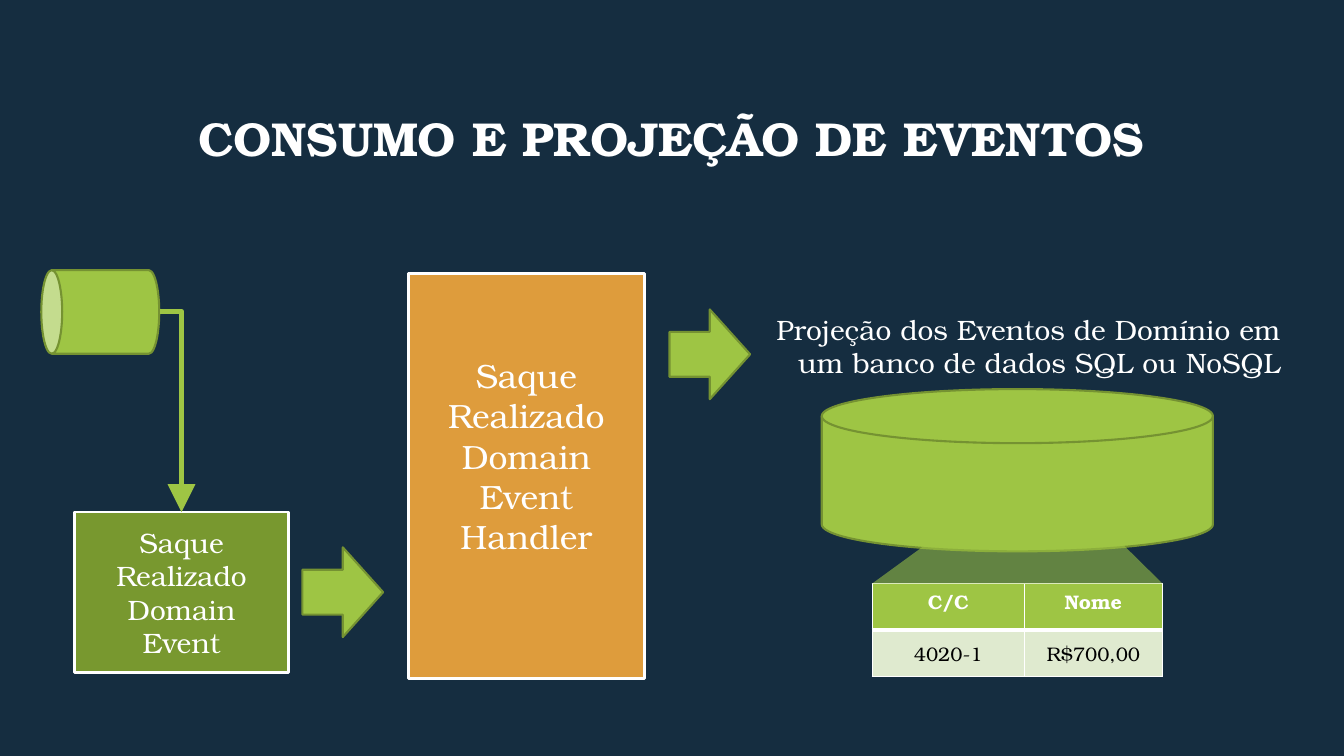
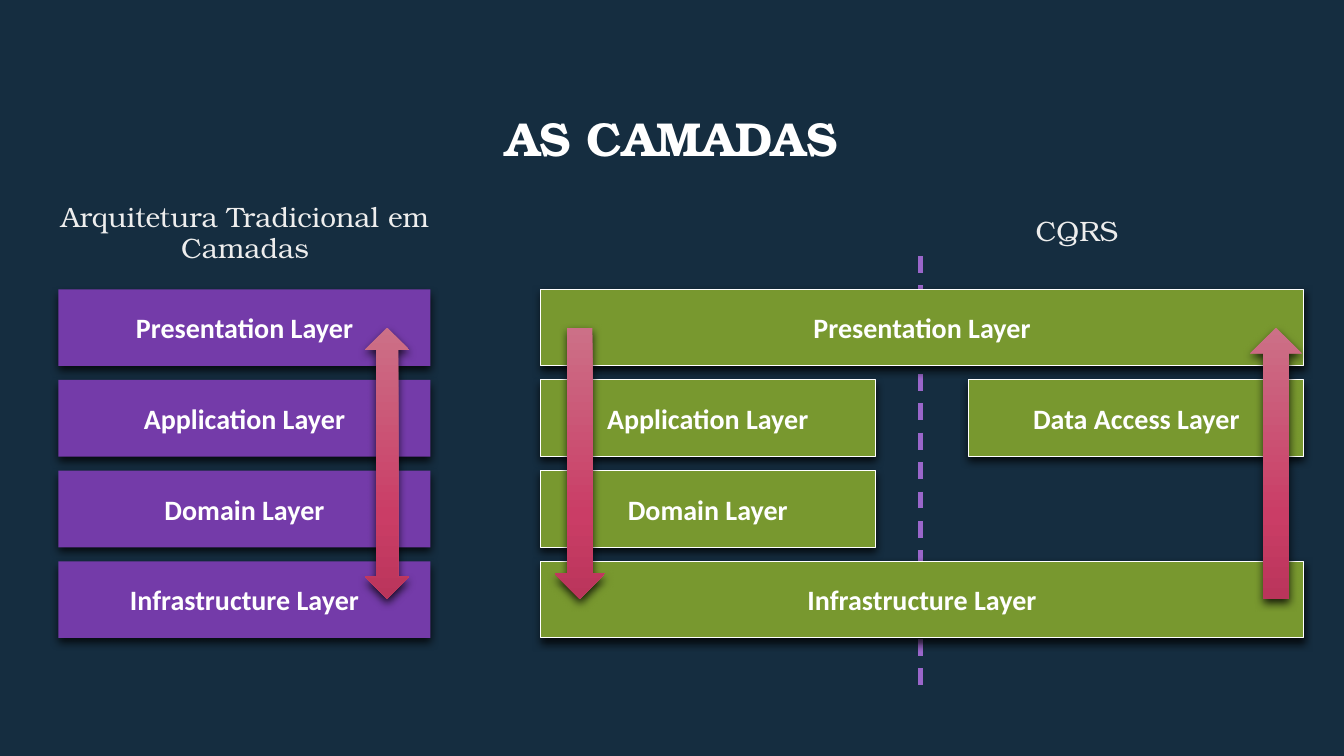
from lxml.etree import SubElement as Sub
from pptx import Presentation
from pptx.dml.color import RGBColor
from pptx.enum.dml import MSO_LINE
from pptx.enum.shapes import MSO_CONNECTOR as Link, MSO_SHAPE as Kind
from pptx.enum.text import MSO_ANCHOR as Anchor, MSO_AUTO_SIZE as Fit, PP_ALIGN as Align
from pptx.oxml.ns import qn
from pptx.util import Inches, Pt

NAVY = RGBColor(0x15, 0x2D, 0x40)
WHITE = RGBColor(0xFF, 0xFF, 0xFF)
BLACK = RGBColor(0x00, 0x00, 0x00)
PALE = RGBColor(0xED, 0xED, 0xED)
LIME = RGBColor(0x9E, 0xC5, 0x44)
EDGE = RGBColor(0x75, 0x92, 0x32)
OLIVE = RGBColor(0x78, 0x98, 0x2F)
MINT = RGBColor(0xDF, 0xEA, 0xCF)
AMBER = RGBColor(0xDE, 0x9C, 0x3C)
GRAPE = RGBColor(0x74, 0x3B, 0xA9)
LILAC = RGBColor(0x9A, 0x66, 0xCA)
ROSE = RGBColor(0xCC, 0x70, 0x87)
CERISE = RGBColor(0xCA, 0x3D, 0x66)
WINE = RGBColor(0xBA, 0x35, 0x5B)

SERIF = "TeX Gyre Bonum"
SANS = "Calibri"
BAR = 0.76
STEP = 0.9


def place(x, y, w, h):
    """Turn a box in inches into lengths."""
    return Inches(x), Inches(y), Inches(w), Inches(h)


def write(frame, text, size=20, font=SERIF, color=WHITE, bold=False,
          align=Align.CENTER, anchor=Anchor.MIDDLE, space=None):
    """Fill a frame with one paragraph for each line of text."""
    frame.word_wrap = True
    frame.vertical_anchor = anchor
    for i, line in enumerate(text.split("\n")):
        para = frame.add_paragraph() if i else frame.paragraphs[0]
        para.text = line
        para.alignment = align
        if space:
            para.line_spacing = space
        for run in para.runs:
            run.font.size = Pt(size)
            run.font.name = font
            run.font.bold = bold
            run.font.color.rgb = color


def draw(slide, kind, box, fill=LIME, line=EDGE, width=1.5):
    """Add a flat preset shape."""
    shape = slide.shapes.add_shape(kind, *place(*box))
    shape.shadow.inherit = False
    shape.fill.solid()
    shape.fill.fore_color.rgb = fill
    if line is None:
        shape.line.fill.background()
    else:
        shape.line.color.rgb = line
        shape.line.width = Pt(width)
    return shape


def label(slide, box, text, **form):
    """Add a text box."""
    frame = slide.shapes.add_textbox(*place(*box)).text_frame
    write(frame, text, **form)


def join(slide, kind, start, end, color, width):
    """Add a connector without a shadow."""
    link = slide.shapes.add_connector(kind, *place(*start, *end))
    link.line.color.rgb = color
    link.line.width = Pt(width)
    Sub(link.element.spPr, qn("a:effectLst"))
    return link


def tint(node, color, alpha=None):
    """Put a colour, with its opacity in percent, into an XML node."""
    clr = Sub(node, qn("a:srgbClr"), val=str(color))
    if alpha is not None:
        Sub(clr, qn("a:alpha"), val=str(alpha * 1000))


def shade(shape):
    """Give a shape a soft shadow straight below."""
    effect = shape.element.spPr.find(qn("a:effectLst"))
    drop = Sub(effect, qn("a:outerShdw"), blurRad=str(Pt(6)), dist=str(Pt(3)),
               dir="5400000", rotWithShape="0")
    tint(drop, BLACK, 76)


def blend(shape):
    """Fill a shape with the rose gradient from top to bottom."""
    shape.fill.gradient()
    shape.fill.gradient_angle = 270
    stops = shape.element.spPr.find(".//" + qn("a:gsLst"))
    for stop in list(stops):
        stops.remove(stop)
    for pos, color in ((0, ROSE), (69, CERISE), (100, WINE)):
        tint(Sub(stops, qn("a:gs"), pos=str(pos * 1000)), color)


def rule(cell, **sides):
    """Draw white cell borders, given their widths in points."""
    props = cell._tc.get_or_add_tcPr()
    for i, (side, width) in enumerate(sides.items()):
        line = Sub(props, qn("a:ln" + side), w=str(Pt(width)))
        tint(Sub(line, qn("a:solidFill")), WHITE)
        props.insert(i, line)


def start(deck, title):
    """Add a slide with its title."""
    slide = deck.slides.add_slide(deck.slide_layouts[5])
    head = slide.shapes.title
    head.left, head.top, head.width, head.height = place(1, 0.67, 11.32, 1.45)
    write(head.text_frame, title, size=34, bold=True, space=0.9)
    head.text_frame.auto_size = Fit.NONE
    return slide


def feed(slide, x, y):
    """Draw the queue, its event and the handler that takes it."""
    event = draw(slide, Kind.RECTANGLE, (x + 0.16, y + 2.57, 2.12, 1.59), OLIVE, WHITE, 2)
    write(event.text_frame, "Saque Realizado\vDomain\nEvent")
    for dx, dy in ((2.42, 2.92), (6.06, 0.56)):
        draw(slide, Kind.RIGHT_ARROW, (x + dx, y + dy, 0.8, 0.89))
    queue = draw(slide, Kind.CAN, (x, y, 0.83, 1.17))
    queue.rotation = 270
    link = join(slide, Link.ELBOW, (x + 1.01, y + 0.58), (x + 1.22, y + 2.57), LIME, 4)
    props = link.element.spPr
    props.find(qn("a:prstGeom")).set("prst", "bentConnector2")
    Sub(props.find(qn("a:ln")), qn("a:tailEnd"), type="triangle", w="lg", len="lg")
    handler = draw(slide, Kind.RECTANGLE, (x + 3.47, y + 0.2, 2.34, 4.02), AMBER, WHITE, 2)
    handler.text_frame.margin_bottom = Inches(0.45)
    write(handler.text_frame, "Saque\vRealizado\nDomain\vEvent\nHandler", size=24)


def grid(slide, x, y):
    """Add the table of projected rows."""
    rows = (("C/C", "Nome"), ("4020-1", "R$700,00"))
    frame = slide.shapes.add_table(2, 2, *place(x, y, 2.88, 0.92))
    table = frame.table
    for col, width in zip(table.columns, (1.51, 1.37)):
        col.width = Inches(width)
    for r, row in enumerate(rows):
        top = r == 0
        for c, text in enumerate(row):
            cell = table.cell(r, c)
            cell.margin_left = cell.margin_right = Inches(0.07)
            cell.margin_top = cell.margin_bottom = Inches(0.03)
            cell.fill.solid()
            cell.fill.fore_color.rgb = LIME if top else MINT
            write(cell.text_frame, text, size=14, bold=top, color=WHITE if top else BLACK)
            cell.vertical_anchor = Anchor.TOP if top else Anchor.MIDDLE
            rule(cell, L=1, R=1, T=1 if top else 3, B=3 if top else 1)


def store(slide, x, y):
    """Draw the database, its caption and the table it opens into."""
    grid(slide, x + 0.5, y + 1.93)
    draw(slide, Kind.FLOWCHART_MAGNETIC_DISK, (x, y, 3.88, 1.61))
    dots = [(Inches(x + dx), Inches(y + dy))
            for dx, dy in ((1.49, 1.21), (2.64, 1.2), (3.38, 1.93), (0.5, 1.93))]
    path = slide.shapes.build_freeform(*dots[0], scale=1.0)
    path.add_line_segments(dots[1:], close=True)
    beam = path.convert_to_shape()
    beam.shadow.inherit = False
    beam.line.fill.background()
    beam.fill.solid()
    beam.fill.fore_color.rgb = LIME
    clr = beam.element.spPr.find(qn("a:solidFill")).find(qn("a:srgbClr"))
    Sub(clr, qn("a:alpha"), val="57000")
    label(slide, (x - 0.81, y - 0.81, 5.46, 0.77),
          "Projeção dos Eventos de Domínio em\vum banco de dados SQL ou NoSQL",
          align=Align.RIGHT, anchor=Anchor.TOP)


def layer(slide, x, y, w, text, fill, line=None):
    """Draw one layer bar."""
    bar = draw(slide, Kind.RECTANGLE, (x, y, w, BAR), fill, line, 0.75)
    shade(bar)
    write(bar.text_frame, text + " Layer", font=SANS, bold=True)


def arrow(slide, kind, x, y, w):
    """Draw a tall gradient arrow."""
    shape = draw(slide, kind, (x, y, w, 2.69), line=None)
    blend(shape)
    shade(shape)


def stack(slide, x, y):
    """Draw the traditional layers."""
    label(slide, (x - 0.19, y - 0.99, 4.08, 0.88),
          "Arquitetura Tradicional em Camadas", color=PALE, space=0.9)
    names = ("Presentation", "Application", "Domain", "Infrastructure")
    for i, name in enumerate(names):
        layer(slide, x, y + i * STEP, 3.69, name, GRAPE)
    arrow(slide, Kind.UP_DOWN_ARROW, x + 3.04, y + 0.38, 0.44)


def split(slide, x, y):
    """Draw the CQRS layers on both sides of a dashed line."""
    mid = x + 3.77
    line = join(slide, Link.STRAIGHT, (mid, y - 0.33), (mid, y + 3.95), LILAC, 3)
    line.line.dash_style = MSO_LINE.DASH
    label(slide, (x + 3.28, y - 1, 4.08, 0.88), "CQRS", color=PALE, space=0.9)
    bars = (("Presentation", 0, 0, 7.57), ("Application", 0, 1, 3.32),
            ("Data Access", 4.25, 1, 3.32), ("Domain", 0, 2, 3.32),
            ("Infrastructure", 0, 3, 7.57))
    for name, dx, row, w in bars:
        layer(slide, x + dx, y + row * STEP, w, name, OLIVE, WHITE)
    arrow(slide, Kind.UP_ARROW, x + 7.04, y + 0.38, 0.51)
    arrow(slide, Kind.DOWN_ARROW, x + 0.14, y + 0.38, 0.5)


def main():
    """Build and save the deck."""
    deck = Presentation()
    deck.slide_width, deck.slide_height = Inches(13.33), Inches(7.5)
    back = deck.slide_master.background.fill
    back.solid()
    back.fore_color.rgb = NAVY
    flow = start(deck, "CONSUMO E PROJEÇÃO DE EVENTOS")
    feed(flow, 0.58, 2.51)
    store(flow, 8.15, 3.86)
    tiers = start(deck, "AS CAMADAS")
    stack(tiers, 0.58, 2.87)
    split(tiers, 5.36, 2.87)
    deck.save("out.pptx")


if __name__ == "__main__":
    main()
